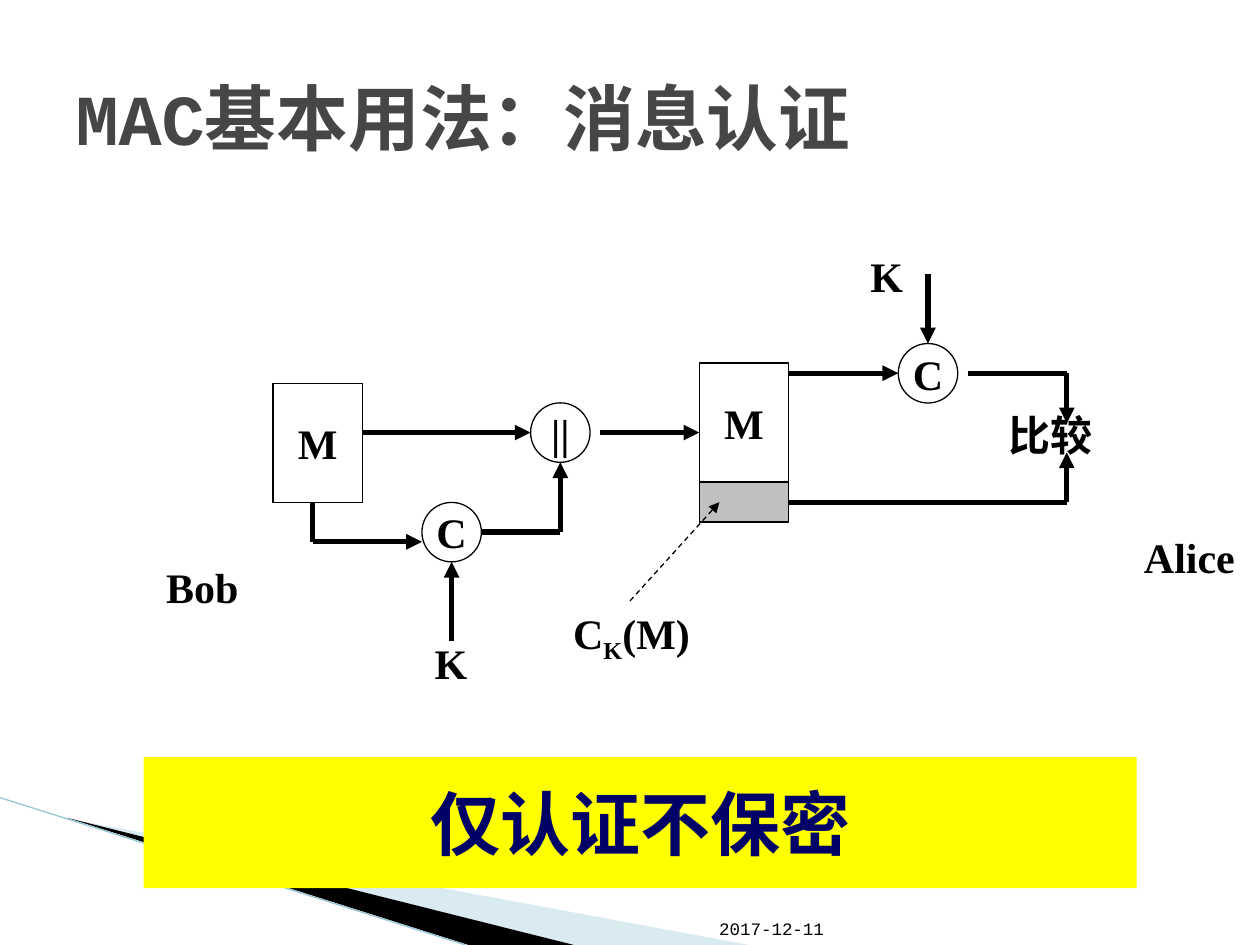
"""Build the slide on basic MAC use for message authentication."""
from lxml import etree
from pptx import Presentation
from pptx.dml.color import RGBColor
from pptx.enum import dml, shapes, text
from pptx.oxml import ns
from pptx.util import Pt

THEME = {
    "ink": "000000", "white": "FFFFFF", "gray": "C0C0C0", "title": "464646",
    "navy": "000066", "yellow": "FFFF00", "pale": "A0CBDC", "teal": "97C5D8",
    "serif": "Times New Roman", "mono": "Courier New",
    "head": 41, "note": 40, "label": 24, "date": 10, "thick": 3, "thin": 0.75,
}
TITLE = ("MAC基本用法：消息认证", (36, 21.6, 648, 90))
DATE = ("2017-12-11", (403.9, 504.7, 80.6, 35.3))
BANNER = ("仅认证不保密", (82.1, 432.7, 567.4, 74.9))
WINGS = [
    ("pale", 40, [(39.6, 468), (428, 540), (328, 540)]),
    ("ink", 100, [(38.2, 467.3), (328, 540), (267.8, 540)]),
]
EDGE = [(0, 455.8), (266, 540)]
LABELS = [
    (["Bob"], (87.8, 317.5, 102.2)),
    (["Alice"], (646.6, 300.2, 73.4)),
    (["K"], (241.2, 360.7, 51.1)),
    (["C", "K", "(M)"], (320.4, 343.4, 102.2)),
    (["K"], (490.3, 139.7, 28.1)),
    (["比较"], (569.5, 230.4, 67.7)),
]
BOXES = [
    ("M", "white", (156, 219, 51, 68)),
    ("M", "white", (399.6, 207.5, 51, 68)),
    ("", "gray", (399.6, 275.5, 51, 22.8)),
]
NODES = [("||", (320.2, 247.2)), ("C", (258.1, 304.1)), ("C", (530.3, 213.3))]
SIZE = 34
FLOWS = [
    [(207, 247.2), (303.2, 247.2)],
    [(258.1, 366.3), (258.1, 321.1)],
    [(342.9, 247.2), (399.6, 247.2)],
    [(450.6, 213.3), (513.3, 213.3)],
    [(178.6, 287), (178.6, 309.6), (241.1, 309.6)],
    [(275.1, 304.1), (320.2, 304.1), (320.2, 264.2)],
    [(530.3, 156.6), (530.3, 196.3)],
    [(553, 213.3), (609.6, 213.3), (609.6, 241.9)],
    [(450.6, 287), (609.6, 287), (609.6, 258.5)],
]
POINTER = [(360, 343.4), (411.1, 287)]

deck = Presentation()
deck.slide_width, deck.slide_height = Pt(720), Pt(540)
slide = deck.slides.add_slide(deck.slide_layouts[5])
items = slide.shapes


def tone(key):
    return RGBColor.from_string(THEME[key])


def write(shape, *parts, size="label", face="serif", ink="ink", bold=True,
          align="LEFT", anchor="TOP", wrap=True, sub=None):
    frame = shape.text_frame
    frame.word_wrap = wrap
    frame.auto_size = text.MSO_AUTO_SIZE.NONE
    frame.vertical_anchor = text.MSO_ANCHOR[anchor]
    para = frame.paragraphs[0]
    para.alignment = text.PP_ALIGN[align]
    for spot, part in enumerate(parts):
        run = para.add_run()
        run.text = part
        run.font.size, run.font.name = Pt(THEME[size]), THEME[face]
        run.font.bold, run.font.color.rgb = bold, tone(ink)
        if spot == sub:
            run.font._element.set("baseline", "-25000")


def place(shape, area):
    shape.left, shape.top, shape.width, shape.height = map(Pt, area)


def paint(shape, fill, line=None):
    shape.shadow.inherit = False
    shape.fill.solid()
    shape.fill.fore_color.rgb = tone(fill)
    if line:
        shape.line.color.rgb, shape.line.width = tone(line), Pt(THEME["thin"])
    else:
        shape.line.fill.background()


def block(kind, area, fill, line=None):
    shape = items.add_shape(shapes.MSO_SHAPE[kind], *map(Pt, area))
    paint(shape, fill, line)
    return shape


def link(start, end, ink="ink", width="thick", arrow=False, dash=False):
    line = items.add_connector(shapes.MSO_CONNECTOR.STRAIGHT,
                               *map(Pt, start + end))
    line.line.color.rgb, line.line.width = tone(ink), Pt(THEME[width])
    if dash:
        line.line.dash_style = dml.MSO_LINE.DASH
    if arrow:
        etree.SubElement(line.line._get_or_add_ln(), ns.qn("a:tailEnd"),
                         type="triangle")
    etree.SubElement(line._element.spPr, ns.qn("a:effectLst"))


def wing(fill, alpha, spots):
    spots = [tuple(map(Pt, spot)) for spot in spots]
    pen = items.build_freeform(*spots[0])
    pen.add_line_segments(spots[1:])
    shape = pen.convert_to_shape()
    paint(shape, fill)
    color = shape._element.spPr.find(".//" + ns.qn("a:srgbClr"))
    etree.SubElement(color, ns.qn("a:alpha"), val=str(alpha * 1000))


for item in WINGS:
    wing(*item)
link(*EDGE, ink="teal", width="thin")

name, area = TITLE
place(items.title, area)
write(items.title, name, size="head", face="mono", ink="title",
      anchor="MIDDLE")
name, area = DATE
write(items.add_textbox(*map(Pt, area)), name, size="date", face="mono",
      bold=False, anchor="BOTTOM")

mid = {"align": "CENTER", "anchor": "MIDDLE", "wrap": False}
for name, fill, area in BOXES:
    shape = block("RECTANGLE", area, fill, "ink")
    if name:
        write(shape, name, **mid)
for name, (x, y) in NODES:
    area = (x - SIZE / 2, y - SIZE / 2, SIZE, SIZE)
    write(block("OVAL", area, "white", "ink"), name, **mid)
for flow in FLOWS:
    for start, end in zip(flow, flow[1:]):
        link(start, end, arrow=end == flow[-1])
for parts, area in LABELS:
    write(items.add_textbox(*map(Pt, area + (36,))), *parts, sub=1)
link(*POINTER, width="thin", arrow=True, dash=True)
name, area = BANNER
write(block("RECTANGLE", area, "yellow"), name, size="note", ink="navy", **mid)

deck.save("out.pptx")
